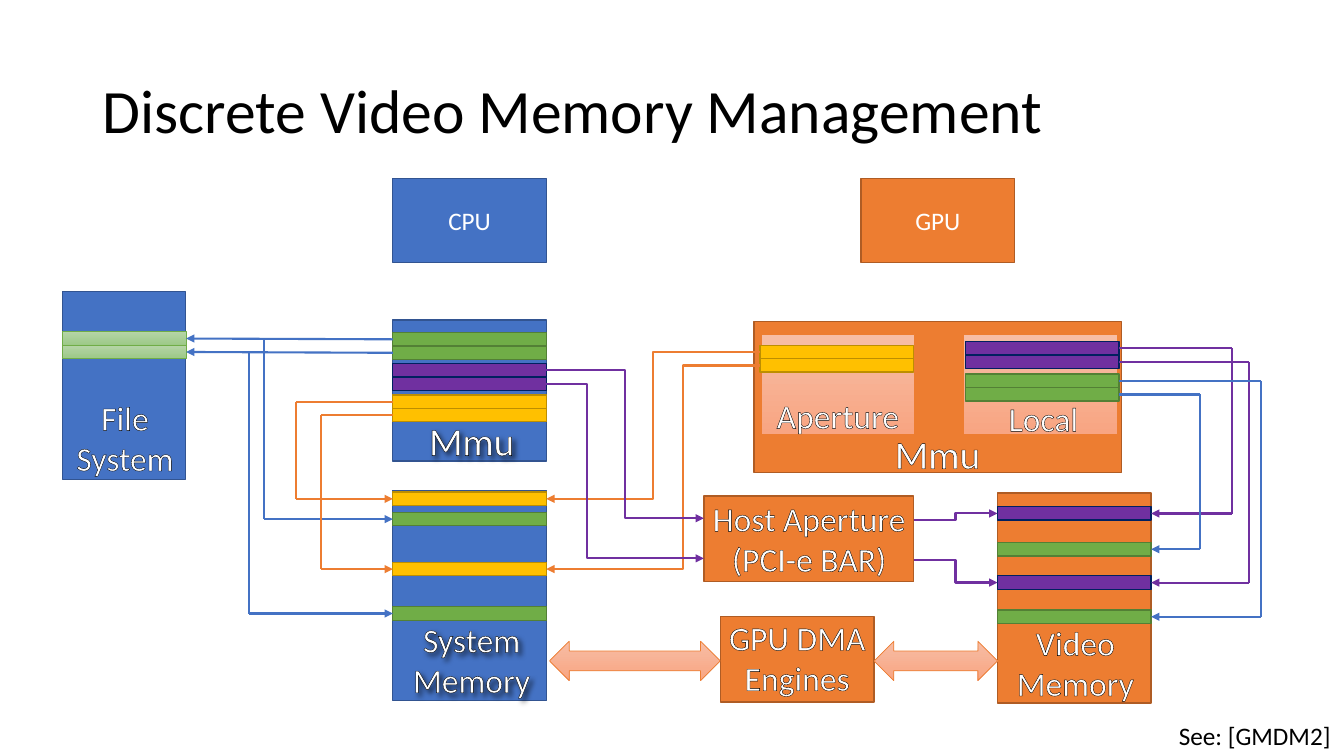
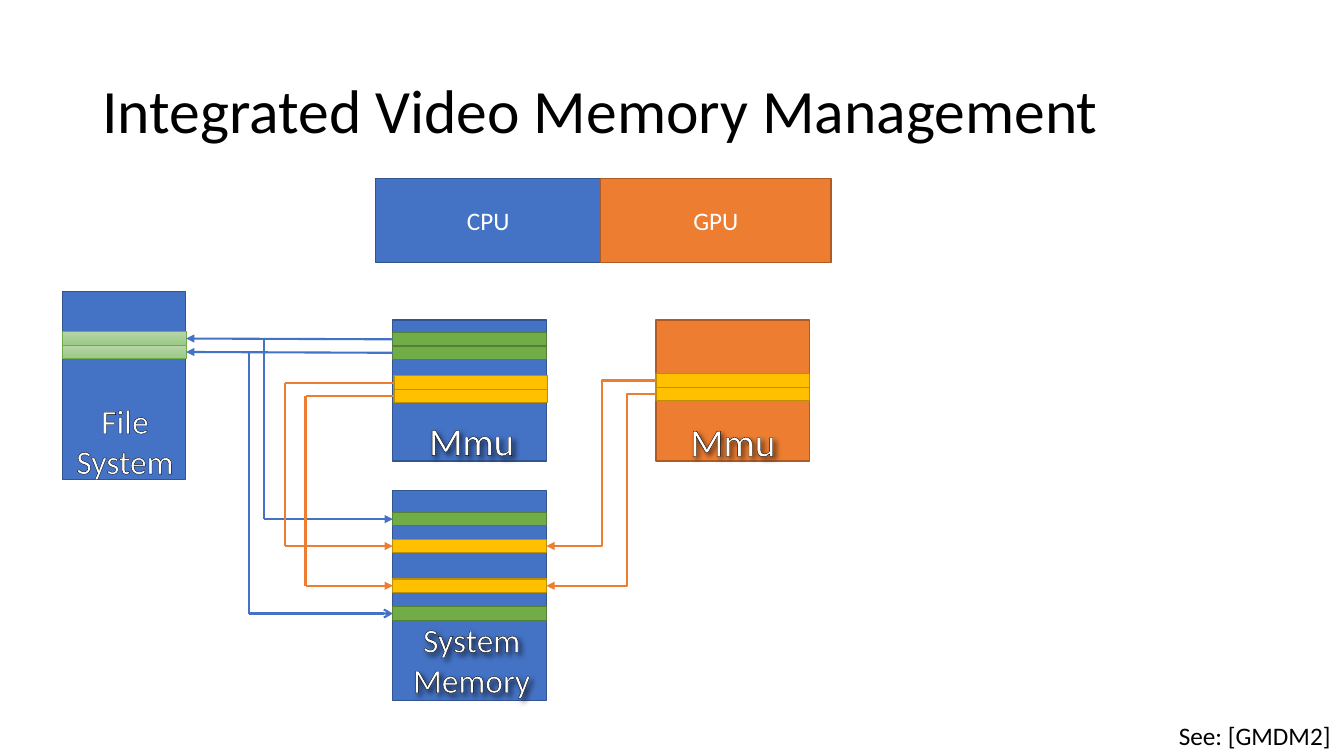
from dataclasses import dataclass
from typing import NamedTuple, Optional, Union

from lxml import etree
from pptx import Presentation
from pptx.dml.color import RGBColor
from pptx.enum.shapes import MSO_CONNECTOR, MSO_SHAPE
from pptx.enum.text import MSO_ANCHOR, MSO_AUTO_SIZE, PP_ALIGN
from pptx.oxml.ns import qn
from pptx.shapes.autoshape import Shape
from pptx.shapes.connector import Connector
from pptx.slide import Slide
from pptx.util import Cm, Pt

RECT = MSO_SHAPE.RECTANGLE
DOUBLE_ARROW = MSO_SHAPE.LEFT_RIGHT_ARROW
STRAIGHT = MSO_CONNECTOR.STRAIGHT
ELBOW = MSO_CONNECTOR.ELBOW
LEFT_ALIGN = PP_ALIGN.LEFT
CENTER = PP_ALIGN.CENTER
TOP = MSO_ANCHOR.TOP
MIDDLE = MSO_ANCHOR.MIDDLE
NO_FIT = MSO_AUTO_SIZE.NONE

LEFT, RIGHT = 1, 3
TITLE_ONLY = 5
FONT = "Calibri"
BLACK, WHITE = "000000", "FFFFFF"
BLUE_LINE, ORANGE_LINE, PURPLE_LINE = "4472C4", "ED7D31", "7030A0"

CPU_X, VIDEO_X, LOCAL_X = 9.9, 25.14, 24.33
BOX_W, BAND_H = 3.87, 0.34
TOP_Y, TOP_H = 4.5, 2.11
MMU_Y, MMU_H = 8.06, 3.56
MEMORY_H = 5.3
FILE_LANES = (6.65, 6.28)


class Style(NamedTuple):
    fill: tuple[str, ...]
    line: str
    width: float = 1


BLUE = Style(("4472C4",), "325491")
ORANGE = Style(("ED7D31",), "AF5C24")
GREEN = Style(("70AD47",), "538035")
YELLOW = Style(("FFC000",), "BD8E00")
PURPLE = Style(("7030A0",), "002060")
PALE_GREEN = Style(("B5D5A7", "9CC987"), "70AD47", 0.5)
PALE_ORANGE = Style(("F7BDA5", "F8A582"), "ED7D31", 0.5)


class Port(NamedTuple):
    shape: Shape
    site: int


class Point(NamedTuple):
    x: int
    y: int


End = Union[Port, Point]


@dataclass
class Box:
    x: float
    y: float
    w: float
    h: float
    style: Style
    text: str = ""
    geometry: int = RECT


@dataclass
class Label:
    text: str
    x: float
    y: float
    w: float
    h: float = 2.31
    size: float = 24
    wrap: bool = True
    shadow: bool = False


@dataclass
class CpuSide:
    mmu: list[Shape]
    memory: list[Shape]


def rgb(value: str) -> RGBColor:
    return RGBColor.from_string(value)


def set_all(target: object, values: dict) -> None:
    for name, value in values.items():
        setattr(target, name, value)


def write(sp: Shape, text: str, size: float, color: str, align=CENTER,
          anchor=TOP, wrap: bool = True):
    tf = sp.text_frame
    set_all(tf, {"word_wrap": wrap, "auto_size": NO_FIT, "vertical_anchor": anchor})
    p = tf.paragraphs[0]
    p.alignment = align
    r = p.add_run()
    r.text = text
    set_all(r.font, {"name": FONT, "size": Pt(size)})
    r.font.color.rgb = rgb(color)
    return p, r


def add_box(s: Slide, box: Box) -> Shape:
    sp = s.shapes.add_shape(box.geometry, Cm(box.x), Cm(box.y), Cm(box.w), Cm(box.h))
    sp.shadow.inherit = False
    style = box.style
    if len(style.fill) == 1:
        sp.fill.solid()
        sp.fill.fore_color.rgb = rgb(style.fill[0])
    else:
        sp.fill.gradient()
        sp.fill.gradient_angle = 270
        for stop, color in zip(sp.fill.gradient_stops, style.fill):
            stop.color.rgb = rgb(color)
    sp.line.color.rgb = rgb(style.line)
    sp.line.width = Pt(style.width)
    if box.text:
        write(sp, box.text, 18, WHITE, anchor=MIDDLE)
    return sp


def add_bands(s: Slide, x: float, tops: tuple[float, ...], style: Style,
              w: float = BOX_W) -> list[Shape]:
    return [add_box(s, Box(x, y, w, BAND_H, style)) for y in tops]


def add_pair(s: Slide, x: float, y: float, style: Style, w: float = BOX_W) -> list[Shape]:
    return add_bands(s, x, (y, y + BAND_H), style, w)


def add_label(s: Slide, label: Label) -> None:
    sp = s.shapes.add_textbox(Cm(label.x), Cm(label.y), Cm(label.w), Cm(label.h))
    _, r = write(sp, label.text, label.size, WHITE, wrap=label.wrap)
    ln = etree.Element(qn("a:ln"), w="9525")
    fill = etree.SubElement(ln, qn("a:solidFill"))
    etree.SubElement(fill, qn("a:srgbClr"), val=BLACK)
    r.font._element.insert(0, ln)
    if label.shadow:
        effects = etree.SubElement(sp.element.spPr, qn("a:effectLst"))
        shadow = etree.SubElement(effects, qn("a:outerShdw"), blurRad="50800",
                                  dist="38100", dir="2700000", algn="tl")
        color = etree.SubElement(shadow, qn("a:srgbClr"), val=BLACK)
        etree.SubElement(color, qn("a:alpha"), val="60000")


def locate(end: End) -> Point:
    if isinstance(end, Point):
        return end
    sp = end.shape
    x = sp.left if end.site == LEFT else sp.left + sp.width
    return Point(x, sp.top + sp.height // 2)


def connect(s: Slide, a: End, b: End, color: str, head: Optional[str] = None,
            kind: int = STRAIGHT) -> Connector:
    c = s.shapes.add_connector(kind, *locate(a), *locate(b))
    if isinstance(a, Port):
        c.begin_connect(*a)
    if isinstance(b, Port):
        c.end_connect(*b)
    c.line.color.rgb = rgb(color)
    c.line.width = Pt(1.5)
    spPr = c.element.spPr
    if head:
        etree.SubElement(spPr.find(qn("a:ln")), qn("a:tailEnd"), type=head)
    etree.SubElement(spPr, qn("a:effectLst"))
    return c


def add_elbow(s: Slide, a: End, lane: float, b: End, color: str) -> None:
    c = connect(s, a, b, color, "triangle", ELBOW)
    start, stop = locate(a).x, locate(b).x
    ratio = round((Cm(lane) - start) / (stop - start) * 100000)
    geometry = c.element.spPr.find(qn("a:prstGeom"))
    guides = geometry.find(qn("a:avLst"))
    if guides is None:
        guides = etree.SubElement(geometry, qn("a:avLst"))
    etree.SubElement(guides, qn("a:gd"), name="adj1", fmla=f"val {ratio}")


def add_detour(s: Slide, start: Shape, lane: float, stop: Shape, side: int, color: str,
               head: str = "triangle", branch: bool = False) -> None:
    a, b = Port(start, side), Port(stop, side)
    turn, back = Point(Cm(lane), locate(a).y), Point(Cm(lane), locate(b).y)
    if not branch:
        connect(s, a, turn, color)
    connect(s, turn, back, color)
    connect(s, back, b, color, head)


def add_slide(prs, title: str) -> Slide:
    s = prs.slides.add_slide(prs.slide_layouts[TITLE_ONLY])
    sp = s.shapes.title
    set_all(sp, {"left": Cm(2.33), "top": Cm(1.01), "width": Cm(29.21), "height": Cm(3.68)})
    p, _ = write(sp, title, 44, BLACK, LEFT_ALIGN, MIDDLE)
    p.line_spacing = 0.9
    sp = s.shapes.add_textbox(Cm(29.46), Cm(18.03), Cm(4.39), Cm(1.02))
    write(sp, "See: [GMDM2]", 18, BLACK, LEFT_ALIGN, wrap=False)
    return s


def add_cpu_side(s: Slide, mmu_yellow: tuple[float, float], memory_yellow: tuple[float, float],
                 lanes: tuple[float, float], label_y: float, last_head: str) -> CpuSide:
    for box in (
        Box(1.57, 7.34, 3.1, 4.74, BLUE),
        Box(CPU_X, MMU_Y, BOX_W, MMU_H, BLUE),
        Box(CPU_X, 12.36, BOX_W, MEMORY_H, BLUE),
    ):
        add_box(s, box)
    files = add_pair(s, 1.57, 8.36, PALE_GREEN, 3.12)
    mmu_green = add_pair(s, CPU_X, 8.38, GREEN)
    memory_green = add_bands(s, CPU_X, (12.91, 15.29), GREEN)
    side = CpuSide(add_pair(s, *mmu_yellow, YELLOW),
                   add_bands(s, CPU_X, memory_yellow, YELLOW))
    for page, file, frame, lane, head in zip(mmu_green, files, memory_green, FILE_LANES,
                                             ("triangle", last_head)):
        connect(s, Port(page, LEFT), Port(file, RIGHT), BLUE_LINE, "triangle")
        add_detour(s, page, lane, frame, LEFT, BLUE_LINE, head, branch=True)
    for page, lane, frame in zip(side.mmu, lanes, side.memory):
        add_detour(s, page, lane, frame, LEFT, ORANGE_LINE)
    for label in (
        Label("File System", 1.6, label_y, 3.1),
        Label("Mmu", 10.54, 10.37, 2.69, 1.44, 28, False, True),
        Label("System Memory", 10.05, 15.47, 3.67, shadow=True),
    ):
        add_label(s, label)
    return side


def build_discrete(prs) -> None:
    s = add_slide(prs, "Discrete Video Memory Management")
    for box in (
        Box(CPU_X, TOP_Y, BOX_W, TOP_H, BLUE, "CPU"),
        Box(21.7, TOP_Y, BOX_W, TOP_H, ORANGE, "GPU"),
        Box(VIDEO_X, 12.42, BOX_W, MEMORY_H, ORANGE),
        Box(19, 8.1, 9.26, 3.81, ORANGE),
        Box(19.18, 8.42, BOX_W, 2.52, PALE_ORANGE),
        Box(24.29, 8.42, BOX_W, 2.52, PALE_ORANGE),
        Box(17.74, 12.5, 5.29, 2.16, ORANGE),
        Box(18.16, 15.53, BOX_W, 2.16, ORANGE),
        Box(13.85, 16.16, 4.3, 0.99, PALE_ORANGE, geometry=DOUBLE_ARROW),
        Box(22.03, 16.16, 3.11, 0.99, PALE_ORANGE, geometry=DOUBLE_ARROW),
    ):
        add_box(s, box)
    cpu = add_cpu_side(s, (CPU_X, 9.95), (12.4, 14.17), (7.45, 8.08), 9.88, "triangle")
    mmu_purple = add_pair(s, CPU_X, 9.16, PURPLE)
    aperture = add_pair(s, 19.15, 8.7, YELLOW)
    local = add_pair(s, LOCAL_X, 8.61, PURPLE) + add_pair(s, LOCAL_X, 9.43, GREEN)
    video_purple = add_bands(s, VIDEO_X, (12.77, 14.51), PURPLE)
    video_green = add_bands(s, VIDEO_X, (15.37, 13.67), GREEN)
    for page, lane, frame in zip(aperture, (16.46, 17.22), cpu.memory):
        add_elbow(s, Port(page, LEFT), lane, Port(frame, RIGHT), ORANGE_LINE)
    for page, lane, y, frame in zip(mmu_purple, (15.75, 14.8), (13.06, 14.07), video_purple):
        add_elbow(s, Port(page, RIGHT), lane, Point(Cm(17.74), Cm(y)), PURPLE_LINE)
        add_elbow(s, Point(Cm(23.03), Cm(y + 0.05)), 24.08, Port(frame, LEFT), PURPLE_LINE)
    for page, lane, frame, color in zip(
            local, (31.04, 31.47, 31.78, 30.25), video_purple + video_green,
            (PURPLE_LINE, PURPLE_LINE, BLUE_LINE, BLUE_LINE)):
        add_detour(s, page, lane, frame, RIGHT, color)
    for label in (
        Label("Aperture", 19.3, 9.83, 3.63, 1.27, wrap=False),
        Label("Local", 25.15, 9.9, 2.29, 1.27, wrap=False),
        Label("Mmu", 22.28, 10.7, 2.69, 1.44, 28, False),
        Label("Host Aperture (PCI-e BAR)", 17.66, 12.42, 5.46),
        Label("GPU DMA Engines", 17.92, 15.42, 4.34),
        Label("Video Memory", 24.99, 15.55, 4.22),
    ):
        add_label(s, label)


def build_integrated(prs) -> None:
    s = add_slide(prs, "Integrated Video Memory Management")
    gpu_x = 16.53
    for box in (
        Box(9.47, TOP_Y, 5.67, TOP_H, BLUE, "CPU"),
        Box(15.14, TOP_Y, 5.8, TOP_H, ORANGE, "GPU"),
        Box(gpu_x, MMU_Y, BOX_W, MMU_H, ORANGE),
    ):
        add_box(s, box)
    cpu = add_cpu_side(s, (9.93, 9.47), (13.59, 14.59), (7.19, 7.7), 9.96, "arrow")
    gpu_yellow = add_pair(s, gpu_x, 9.42, YELLOW)
    for page, lane, frame in zip(gpu_yellow, (15.16, 15.8), cpu.memory):
        add_elbow(s, Port(page, LEFT), lane, Port(frame, RIGHT), ORANGE_LINE)
    add_label(s, Label("Mmu", 17.12, 10.39, 2.69, 1.44, 28, False, True))


def main() -> None:
    prs = Presentation()
    set_all(prs, {"slide_width": Cm(33.87), "slide_height": Cm(19.05)})
    build_discrete(prs)
    build_integrated(prs)
    prs.save("out.pptx")


if __name__ == "__main__":
    main()
